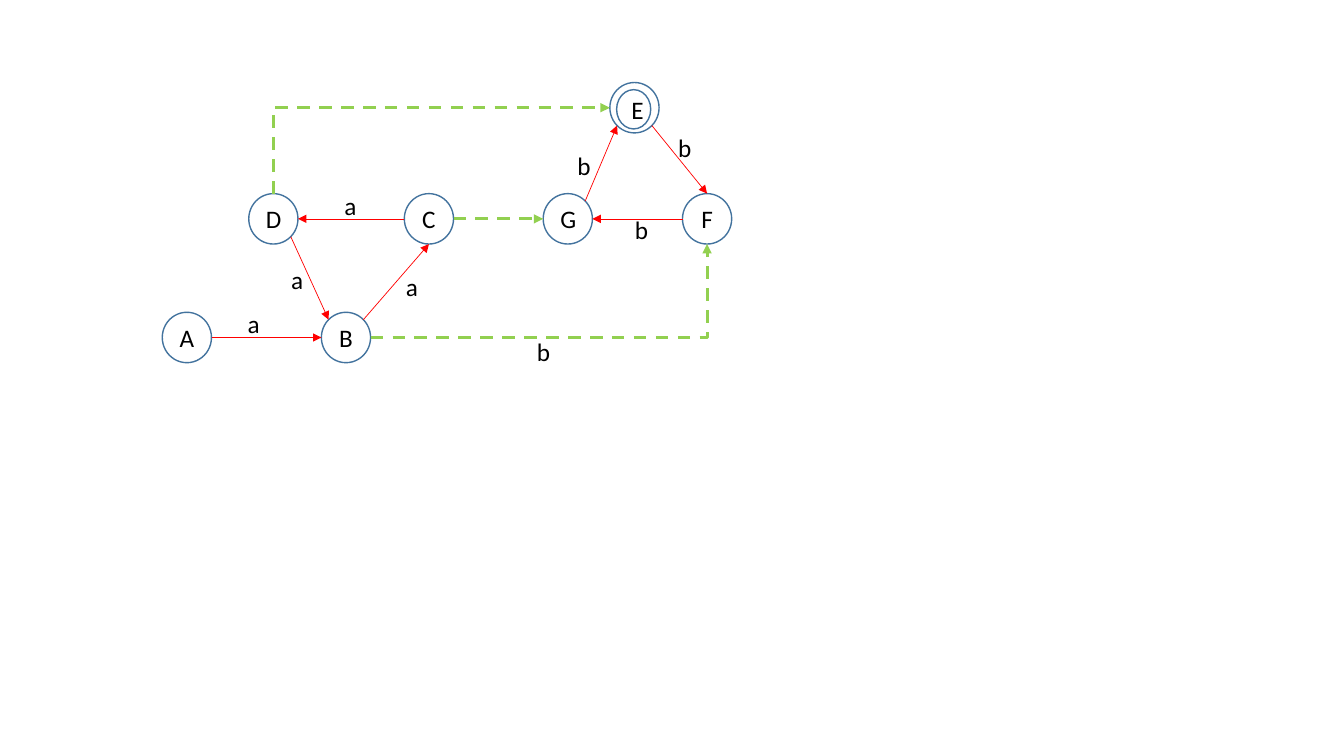
from math import cos, radians, sin

from lxml.etree import SubElement
from pptx import Presentation
from pptx.dml.color import RGBColor
from pptx.enum.dml import MSO_LINE as Dash
from pptx.enum.shapes import MSO_CONNECTOR as Link, MSO_SHAPE as Shape
from pptx.enum.text import MSO_ANCHOR as Anchor, MSO_AUTO_SIZE as AutoSize, PP_ALIGN as Align
from pptx.oxml.ns import qn
from pptx.util import Cm, Pt

NODE_WIDTH, NODE_HEIGHT = 1.24, 1.27
TOP_ROW, MIDDLE_ROW, BOTTOM_ROW = 2.08, 4.88, 7.87
RED, GREEN = "FF0000", "92D050"
TOP, TOP_LEFT, LEFT, BOTTOM_LEFT, BOTTOM, BOTTOM_RIGHT, RIGHT, TOP_RIGHT = range(8)

NODES = {
    "A": (4.09, BOTTOM_ROW),
    "B": (8.1, BOTTOM_ROW),
    "E": (15.37, TOP_ROW),
    "F": (17.2, MIDDLE_ROW),
    "D": (6.27, MIDDLE_ROW),
    "C": (10.19, MIDDLE_ROW),
    "G": (13.69, MIDDLE_ROW),
}
TRANSITIONS = [
    ("A", RIGHT, "B", LEFT),
    ("B", TOP_RIGHT, "C", BOTTOM),
    ("C", LEFT, "D", RIGHT),
    ("D", BOTTOM_RIGHT, "B", TOP_LEFT),
    ("E", BOTTOM_RIGHT, "F", TOP),
    ("F", LEFT, "G", RIGHT),
    ("G", TOP_RIGHT, "E", BOTTOM_LEFT),
]
LABELS = [
    ("a", 5.99, 7.65), ("a", 9.98, 6.71), ("a", 8.43, 4.67), ("a", 7.09, 6.53),
    ("b", 13.28, 8.36), ("b", 16.84, 3.2), ("b", 15.75, 5.28), ("b", 14.3, 3.66),
]
LABEL_WIDTHS = {"a": 0.81, "b": 0.86}


def color(value):
    return RGBColor.from_string(value)


def add_text(paragraph, text):
    run = paragraph.add_run()
    run.text = text
    run.font.name = "Calibri"
    run.font.size = Pt(18)
    run.font.color.rgb = color("000000")


def add_circle(slide, left, top, width, height, text=""):
    shape = slide.shapes.add_shape(Shape.OVAL, Cm(left), Cm(top), Cm(width), Cm(height))
    shape.shadow.inherit = False
    shape.fill.solid()
    shape.fill.fore_color.rgb = color("FFFFFF")
    shape.line.color.rgb = color("43739E")
    shape.line.width = Pt(1)
    if text:
        shape.text_frame.vertical_anchor = Anchor.MIDDLE
        paragraph = shape.text_frame.paragraphs[0]
        paragraph.alignment = Align.CENTER
        add_text(paragraph, text)
    return shape


def add_label(slide, text, left, top):
    box = slide.shapes.add_textbox(Cm(left), Cm(top), Cm(LABEL_WIDTHS[text]), Cm(1.02))
    box.text_frame.word_wrap = False
    box.text_frame.auto_size = AutoSize.SHAPE_TO_FIT_TEXT
    add_text(box.text_frame.paragraphs[0], text)


def site_point(node, site):
    angle = radians(45 * site)
    x = node.left + node.width / 2 * (1 - sin(angle))
    y = node.top + node.height / 2 * (1 - cos(angle))
    return round(x), round(y)


def quarter_turn(start, end):
    center_x, center_y = (start[0] + end[0]) / 2, (start[1] + end[1]) / 2
    half_x, half_y = (end[0] - start[0]) / 2, (end[1] - start[1]) / 2
    return [
        (round(center_x - sign * half_y), round(center_y + sign * half_x))
        for sign in (-1, 1)
    ]


def add_arrow(slide, source, source_site, target, target_site, line_color, width,
              dashed=False, bent=False):
    start, end = site_point(source, source_site), site_point(target, target_site)
    turned = bent and source_site in (TOP, BOTTOM)
    if turned:
        end, start = quarter_turn(start, end)
    kind = Link.ELBOW if bent else Link.STRAIGHT
    connector = slide.shapes.add_connector(kind, *start, *end)
    connector.line.color.rgb = color(line_color)
    connector.line.width = Pt(width)
    if dashed:
        connector.line.dash_style = Dash.DASH
    properties = connector._element.spPr
    SubElement(properties.find(qn("a:ln")), qn("a:tailEnd"), type="triangle")
    SubElement(properties, qn("a:effectLst"))
    if bent:
        properties.find(qn("a:prstGeom")).set("prst", "bentConnector2")
    if turned:
        properties.find(qn("a:xfrm")).set("rot", "5400000")
    joints = connector._element.find(".//" + qn("p:cNvCxnSpPr"))
    for tag, node, site in (("a:stCxn", source, source_site), ("a:endCxn", target, target_site)):
        SubElement(joints, qn(tag), id=str(node.shape_id), idx=str(site))


def main():
    presentation = Presentation()
    presentation.slide_width, presentation.slide_height = Cm(33.87), Cm(19.05)
    slide = presentation.slides.add_slide(presentation.slide_layouts[6])

    nodes = {
        name: add_circle(slide, left, top, NODE_WIDTH, NODE_HEIGHT, "" if name == "E" else name)
        for name, (left, top) in NODES.items()
    }
    for source, source_site, target, target_site in TRANSITIONS:
        add_arrow(slide, nodes[source], source_site, nodes[target], target_site, RED, 0.5)
    for text, left, top in LABELS:
        add_label(slide, text, left, top)
    add_circle(slide, 15.54, 2.26, 0.86, 0.99, "E")

    for source, source_site, target, target_site, bent in (
        ("B", RIGHT, "F", BOTTOM, True),
        ("C", RIGHT, "G", LEFT, False),
        ("D", TOP, "E", LEFT, True),
    ):
        add_arrow(slide, nodes[source], source_site, nodes[target], target_site,
                  GREEN, 2.25, dashed=True, bent=bent)

    presentation.save("out.pptx")


if __name__ == "__main__":
    main()
